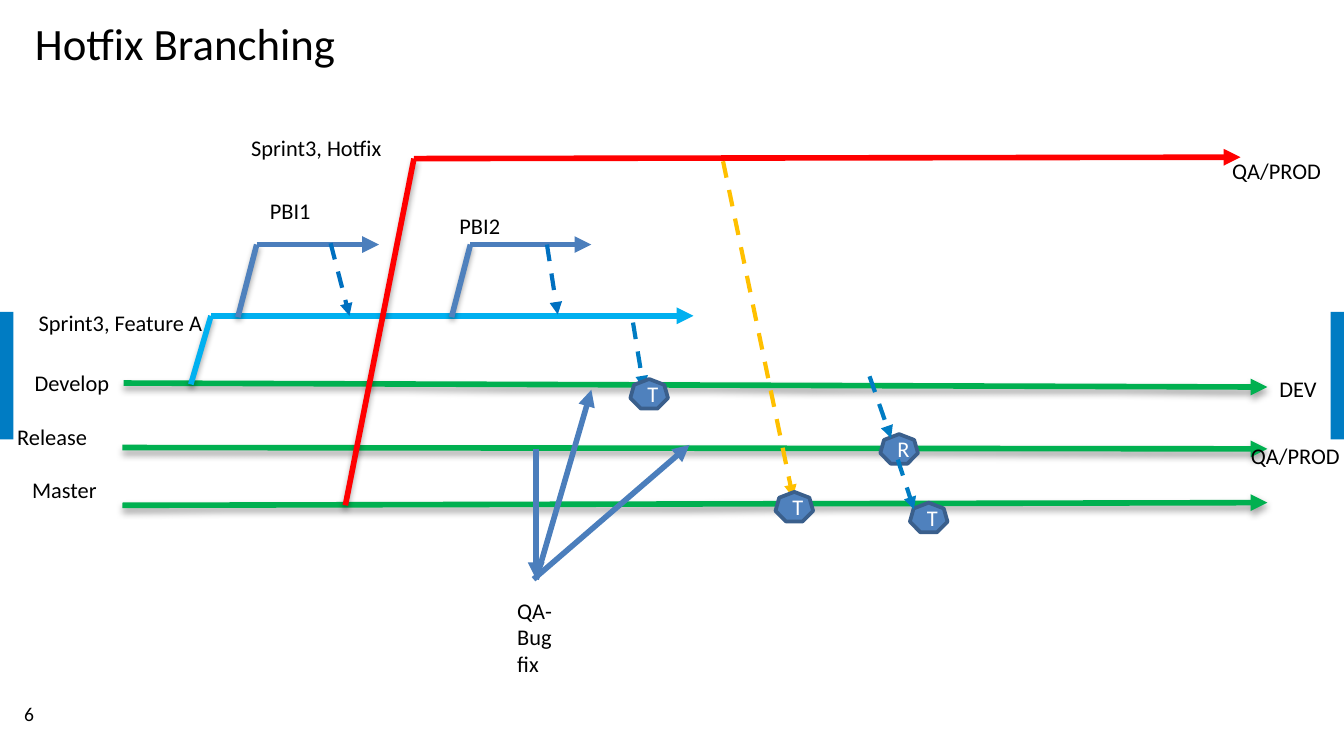
"""Build the Hotfix Branching slide."""
import pptx
import pptx.dml.color
import pptx.enum.dml
import pptx.enum.shapes
import pptx.enum.text
import pptx.oxml
import pptx.oxml.ns
import pptx.util

WIDTH = 10
HEIGHT = WIDTH * 9 / 16
FONT = "Calibri"
BLACK, WHITE = "000000", "FFFFFF"
GREEN, CYAN, RED, AMBER = "00B050", "00B0F0", "FF0000", "FFC000"
STEEL, SLATE, NAVY = "4F81BD", "4B7EBC", "3A5F8C"
BLUE, ACCENT = "0070C0", "007CC3"

TITLE = ("Hotfix Branching", 0.16, 0.07, 2.66, 0.5)
PAGE_NUMBER = ("6", 0.13, 5.17, 0.43, 0.28)
NOTE = ("QA-Bug fix", 3.75, 4.39, 0.52, 0.71)
LABEL_HEIGHT = 0.3
LABELS = [
    ("Develop", 0.16, 2.7, 0.76),
    ("Master", 0.14, 3.49, 0.69),
    ("Release", 0.03, 3.1, 0.73),
    ("DEV", 9.42, 2.74, 0.48),
    ("Sprint3, Feature A", 0.19, 2.25, 1.44),
    ("PBI1", 1.91, 1.42, 0.51),
    ("PBI2", 3.32, 1.53, 0.52),
    ("Sprint3, Hotfix", 1.77, 0.95, 1.19),
    ("QA/PROD", 9.07, 1.12, 0.87),
    ("QA/PROD", 9.21, 3.24, 0.87),
]

TRACKS = [
    ((0.92, 2.85), (9.43, 2.88), GREEN),
    ((0.91, 3.33), (9.43, 3.34), GREEN),
    ((0.91, 3.76), (9.43, 3.74), GREEN),
]
BRANCHES = [
    ((1.42, 2.86), (1.57, 2.35), (5.16, 2.35), CYAN, CYAN),
    ((1.77, 2.36), (1.91, 1.82), (2.82, 1.82), STEEL, SLATE),
    ((3.36, 2.36), (3.5, 1.82), (4.4, 1.82), STEEL, SLATE),
    ((2.57, 3.76), (3.08, 1.18), (9.23, 1.17), RED, RED),
]
MERGES = [
    ((2.46, 1.81), (2.6, 2.35), BLUE),
    ((4.07, 1.82), (4.15, 2.34), BLUE),
    ((4.71, 2.4), (4.79, 2.89), ACCENT),
    ((5.38, 1.2), (5.9, 3.7), AMBER),
    ((6.47, 2.8), (6.63, 3.26), ACCENT),
    ((6.68, 3.42), (6.8, 3.79), ACCENT),
]
BUG_FIXES = [
    ((3.99, 3.34), (3.99, 4.31)),
    ((3.99, 4.31), (4.4, 2.9)),
    ((3.97, 4.31), (5.13, 3.31)),
]
BADGE_SIZE = (0.28, 0.22)
RELEASE_BADGES = [("R", 6.55, 3.23), ("T", 6.77, 3.74)]
TEST_BADGES = [("T", 5.77, 3.66), ("T", 4.69, 2.82)]
BAR_SIZE = (0.11, 0.95)
BAR_TOP = 2.32
BAR_LEFTS = [-0.01, 9.9]

SHADOW = (
    '<a:outerShdw blurRad="38100" dist="22860" dir="5400000" rotWithShape="0">'
    '<a:srgbClr val="000000"><a:alpha val="35000"/></a:srgbClr></a:outerShdw>'
)


def rgb(value):
    """Return the colour for a hex string."""
    return pptx.dml.color.RGBColor.from_string(value)


def inches(*values):
    """Convert numbers to lengths."""
    return [pptx.util.Inches(value) for value in values]


def write(shape, text, size, color=BLACK, wrap=True):
    """Put one formatted paragraph into a shape."""
    frame = shape.text_frame
    frame.word_wrap = wrap
    para = frame.paragraphs[0]
    para.text = text
    para.font.name = FONT
    para.font.size = pptx.util.Pt(size)
    para.font.color.rgb = rgb(color)
    return para


def add_label(page, text, *place, size=12, wrap=False):
    """Add a text box."""
    box = page.shapes.add_textbox(*inches(*place))
    write(box, text, size, wrap=wrap)
    return box


def add_line(page, start, end, color, width=3, arrow=True, dash=False, shadow=False):
    """Add a straight line with optional arrowhead, dashes and shadow."""
    line = page.shapes.add_connector(
        pptx.enum.shapes.MSO_CONNECTOR.STRAIGHT, *inches(*start, *end)
    )
    line.line.color.rgb = rgb(color)
    line.line.width = pptx.util.Pt(width)
    if dash:
        line.line.dash_style = pptx.enum.dml.MSO_LINE.DASH
    properties = line._element.spPr
    namespace = pptx.oxml.ns.nsdecls("a")
    if arrow:
        properties.find(pptx.oxml.ns.qn("a:ln")).append(
            pptx.oxml.parse_xml(f'<a:tailEnd {namespace} type="triangle"/>')
        )
    effect = SHADOW if shadow else ""
    properties.append(
        pptx.oxml.parse_xml(f"<a:effectLst {namespace}>{effect}</a:effectLst>")
    )


def add_shape(page, kind, left, top, size, fill):
    """Add a filled preset shape without a shadow."""
    shape = page.shapes.add_shape(kind, *inches(left, top, *size))
    shape.shadow.inherit = False
    shape.fill.solid()
    shape.fill.fore_color.rgb = rgb(fill)
    return shape


def add_badges(page, badges):
    """Add lettered heptagons."""
    kind = pptx.enum.shapes.MSO_SHAPE.HEPTAGON
    for text, left, top in badges:
        badge = add_shape(page, kind, left, top, BADGE_SIZE, STEEL)
        badge.line.color.rgb = rgb(NAVY)
        badge.line.width = pptx.util.Pt(2)
        para = write(badge, text, 12, WHITE)
        para.alignment = pptx.enum.text.PP_ALIGN.CENTER
        badge.text_frame.vertical_anchor = pptx.enum.text.MSO_ANCHOR.MIDDLE


def add_title(page):
    """Place and format the title."""
    text, *place = TITLE
    title = page.shapes.title
    title.left, title.top, title.width, title.height = inches(*place)
    para = write(title, text, 24)
    para.alignment = pptx.enum.text.PP_ALIGN.LEFT
    para.space_before = pptx.util.Pt(7)
    title.text_frame.vertical_anchor = pptx.enum.text.MSO_ANCHOR.TOP
    title.text_frame.auto_size = pptx.enum.text.MSO_AUTO_SIZE.NONE


def main():
    """Assemble and save the deck."""
    deck = pptx.Presentation()
    deck.slide_width, deck.slide_height = inches(WIDTH, HEIGHT)
    page = deck.slides.add_slide(deck.slide_layouts[5])
    add_title(page)
    for left in BAR_LEFTS:
        kind = pptx.enum.shapes.MSO_SHAPE.RECTANGLE
        bar = add_shape(page, kind, left, BAR_TOP, BAR_SIZE, ACCENT)
        bar.line.fill.background()
    number = add_label(page, *PAGE_NUMBER, size=10.5, wrap=True)
    number.text_frame.margin_left = number.text_frame.margin_right = pptx.util.Inches(0.05)
    for start, end, color in TRACKS:
        add_line(page, start, end, color, shadow=True)
    for start, corner, end, rise_color, run_color in BRANCHES:
        add_line(page, start, corner, rise_color, arrow=False, shadow=True)
        add_line(page, corner, end, run_color)
    add_badges(page, RELEASE_BADGES)
    for start, end, color in MERGES:
        add_line(page, start, end, color, width=2.25, dash=True)
    add_badges(page, TEST_BADGES)
    for start, end in BUG_FIXES:
        add_line(page, start, end, SLATE)
    for text, left, top, width in LABELS:
        add_label(page, text, left, top, width, LABEL_HEIGHT)
    add_label(page, *NOTE, wrap=True)
    deck.save("out.pptx")


if __name__ == "__main__":
    main()
